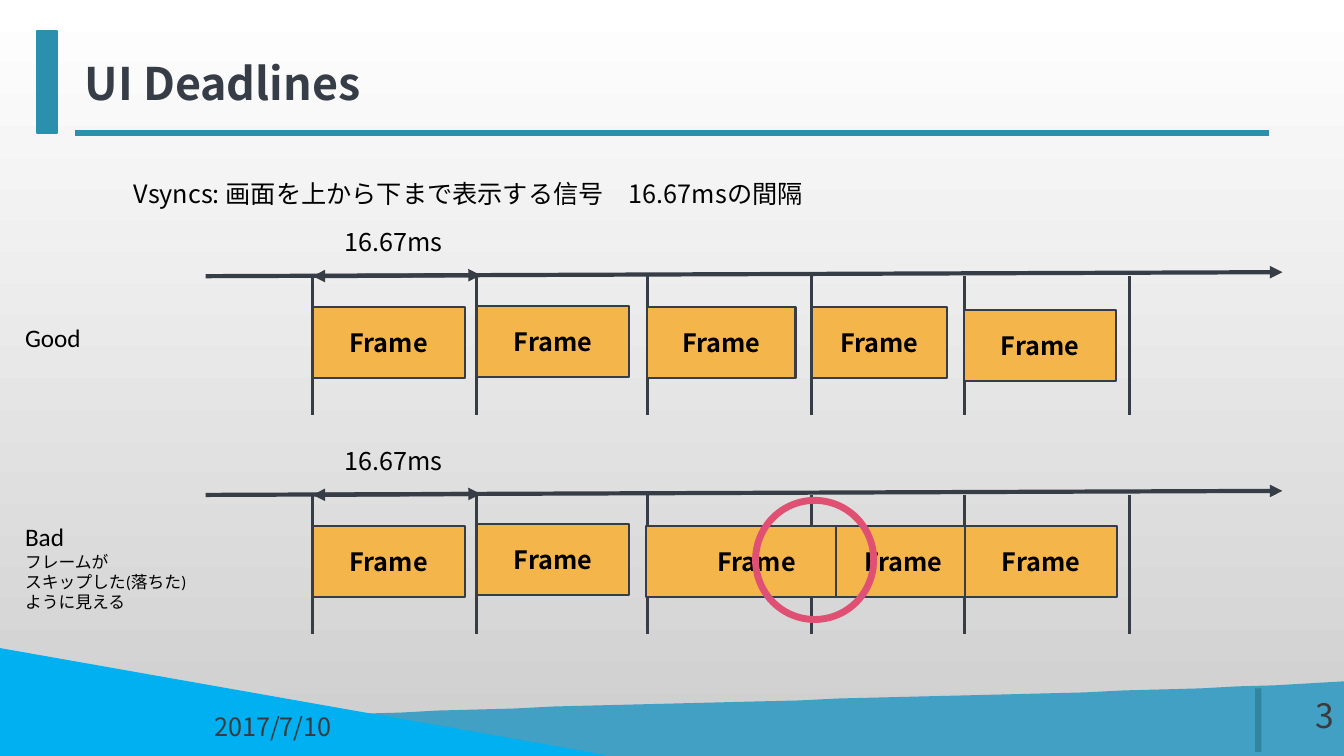
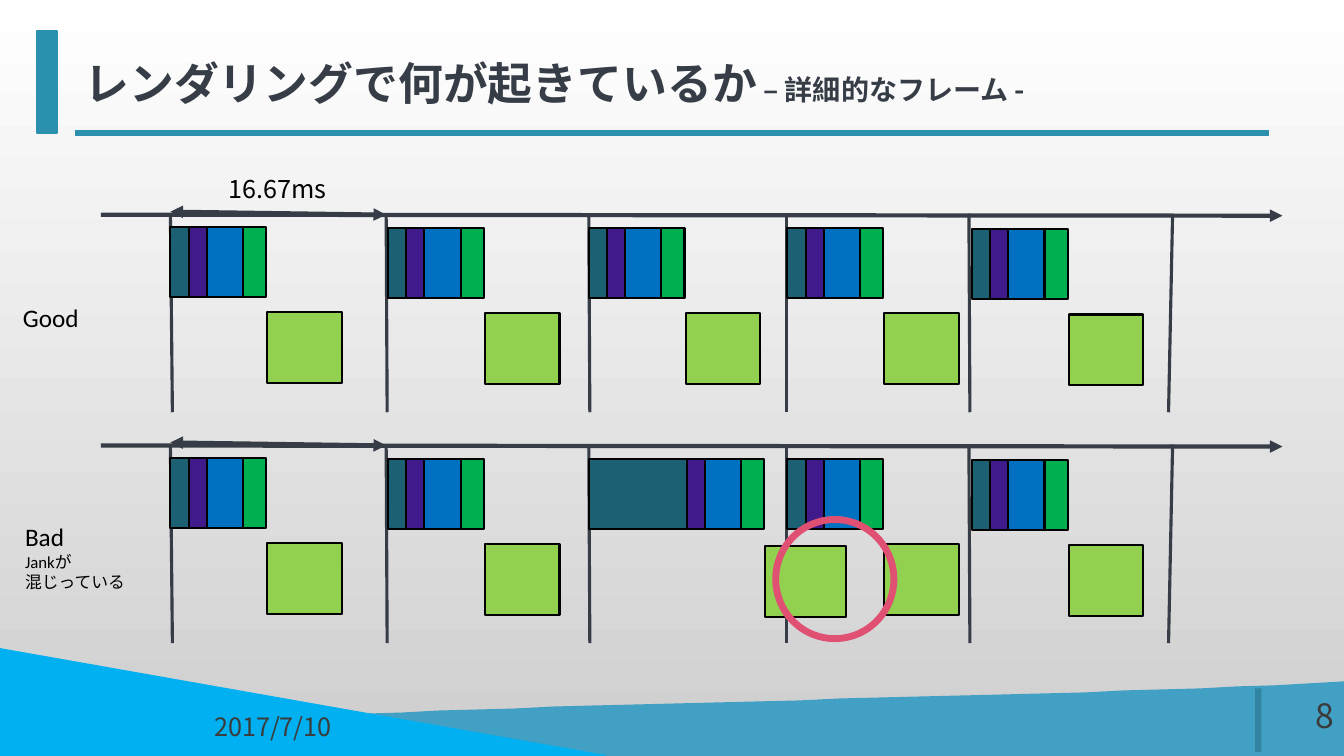
from collections import namedtuple

from lxml.etree import SubElement
from pptx import Presentation
from pptx.dml.color import RGBColor
from pptx.enum.shapes import MSO_CONNECTOR, MSO_SHAPE
from pptx.enum.text import MSO_ANCHOR, PP_ALIGN
from pptx.oxml.ns import qn
from pptx.util import Pt

PX = 9144  # EMU per px, 100 px to the inch
WIDTH, HEIGHT = 1333, 750
FONT, LABEL_FONT = "Noto Sans CJK JP", "Calibri"
COLORS = {
    "top": "FFFFFF", "bottom": "CECECE", "wave": "41A0C3", "wedge": "00B0F0",
    "accent": "2A90AD", "dark": "363D46", "footer": "3B3B3B", "black": "000000",
    "frame": "F4B54B", "alert": "E05073", "teal": "1C6073", "purple": "401A8B",
    "blue": "0070C0", "green": "00B050", "lime": "92D050",
}
INTERVAL = "16.67ms"
# Offset, width and colour of each rendering phase
PHASES = [(0, 19, "teal"), (18, 18, "purple"), (36, 36, "blue"), (72, 23, "green")]
Render = namedtuple("Render", "left drop delay output_drop output_width",
                    defaults=(0, 85, 74))


def rgb(name):
    return RGBColor.from_string(COLORS[name])


class Deck:
    def __init__(self):
        self.presentation = Presentation()
        self.presentation.slide_width = WIDTH * PX
        self.presentation.slide_height = HEIGHT * PX
        self.slide = None

    # Shared slide frame
    def add_slide(self, title_runs, number):
        self.slide = self.presentation.slides.add_slide(
            self.presentation.slide_layouts[6])
        fill = self.slide.background.fill
        fill.gradient()
        fill.gradient_angle = 270
        for stop, position, name in zip(fill.gradient_stops, (0, 1), ("top", "bottom")):
            stop.position = position
            stop.color.rgb = rgb(name)
        self.wave()
        self.box(0, 644, 600, 106, "wedge", "wedge", MSO_SHAPE.RIGHT_TRIANGLE)
        self.line((1248, 746), (1248, 683), 4.5, "teal", opacity=41)
        self.line((74, 132), (1259, 132), 4.5, "accent")
        self.box(37, 31, 20, 101, "accent", "accent")
        self.text(74, 31, 1185, 101, [title_runs], "dark", bold=True, middle=True)
        self.text(164, 701, 175, 40, [[("2017/7/10", 18)]], "footer",
                  align=PP_ALIGN.RIGHT, middle=True)
        self.text(1248, 676, 85, 66, [[(number, 24)]], "footer",
                  align=PP_ALIGN.RIGHT, middle=True)

    def wave(self):
        curve = [(1333, 677), (889, 702), (130, 695), (1, 750)]
        steps = 40
        points = []
        for step in range(steps + 1):
            t = step / steps
            weights = ((1 - t) ** 3, 3 * t * (1 - t) ** 2, 3 * t * t * (1 - t), t ** 3)
            points.append(tuple(
                sum(weight * point[axis] for weight, point in zip(weights, curve))
                for axis in (0, 1)))
        builder = self.slide.shapes.build_freeform(WIDTH, HEIGHT, scale=PX)
        builder.add_line_segments(points, close=True)
        self.paint(builder.convert_to_shape(), "wave", "wave")

    # Elements
    def paint(self, shape, fill, outline):
        shape.shadow.inherit = False
        shape.fill.solid()
        shape.fill.fore_color.rgb = rgb(fill)
        if outline:
            shape.line.color.rgb = rgb(outline)
            shape.line.width = Pt(1.5)
        else:
            shape.line.fill.background()

    def box(self, left, top, width, height, fill, outline, kind=MSO_SHAPE.RECTANGLE):
        shape = self.slide.shapes.add_shape(
            kind, left * PX, top * PX, width * PX, height * PX)
        self.paint(shape, fill, outline)
        return shape

    def line(self, start, end, weight, color="dark", arrows=(), opacity=None):
        connector = self.slide.shapes.add_connector(
            MSO_CONNECTOR.STRAIGHT, *(value * PX for value in (*start, *end)))
        connector.line.color.rgb = rgb(color)
        connector.line.width = Pt(weight)
        properties = connector._element.spPr
        outline = properties.find(qn("a:ln"))
        if opacity:
            SubElement(outline.find(".//" + qn("a:srgbClr")), qn("a:alpha"),
                       val=str(opacity * 1000))
        for arrow in arrows:
            SubElement(outline, qn(f"a:{arrow}"), type="triangle")
        SubElement(properties, qn("a:effectLst"))

    def fill_text(self, frame, paragraphs, color, font, bold, align, middle):
        """Each paragraph is a list of (text, size) runs."""
        frame.word_wrap = True
        frame.vertical_anchor = MSO_ANCHOR.MIDDLE if middle else MSO_ANCHOR.TOP
        for index, runs in enumerate(paragraphs):
            paragraph = frame.add_paragraph() if index else frame.paragraphs[0]
            paragraph.alignment = align
            paragraph.font.size = Pt(runs[0][1])
            paragraph.font.bold = bold
            paragraph.font.color.rgb = rgb(color)
            paragraph.font.name = font
            SubElement(paragraph._p.pPr.find(qn("a:defRPr")), qn("a:ea"), typeface=FONT)
            for text, size in runs:
                run = paragraph.add_run()
                run.text = text
                if size != runs[0][1]:
                    run.font.size = Pt(size)

    def text(self, left, top, width, height, paragraphs, color="black", font=FONT,
             bold=False, align=PP_ALIGN.LEFT, middle=False):
        shape = self.slide.shapes.add_textbox(
            left * PX, top * PX, width * PX, height * PX)
        self.fill_text(shape.text_frame, paragraphs, color, font, bold, align, middle)

    def row_label(self, left, top, width, heading, *details):
        paragraphs = [[(heading, 18)]] + [[(detail, 12)] for detail in details]
        self.text(left, top, width, 40 + 20 * len(details), paragraphs, font=LABEL_FONT)

    def frame_box(self, left, top, width):
        shape = self.box(left, top, width, 70, "frame", "dark")
        self.fill_text(shape.text_frame, [[("Frame", 18)]], "black", FONT, True,
                       PP_ALIGN.CENTER, True)

    def timeline(self, axis, interval, vsyncs, top, bottom):
        self.line(*axis, 3, arrows=["tailEnd"])
        for upper, lower in vsyncs:
            self.line((upper, top), (lower, bottom), 2.25)
        self.line(*interval, 3, arrows=["headEnd", "tailEnd"])

    def render(self, base, item):
        top = base + item.drop
        for offset, width, color in PHASES:
            shift, stretch = (item.delay, 0) if offset else (0, item.delay)
            self.box(item.left + offset + shift, top, width + stretch, 70, color, "black")
        self.box(item.left + 96 + item.delay, top + item.output_drop,
                 item.output_width, 70, "lime", "black")

    def ring(self, left, top):
        shape = self.box(left, top, 124, 125, "alert", None, MSO_SHAPE.DONUT)
        shape.adjustments[0] = 0.055


def deadlines_slide(deck):
    deck.add_slide([("UI Deadlines", 32)], "3")
    deck.text(123, 172, 806, 40,
              [[("Vsyncs: 画面を上から下まで表示する信号　16.67msの間隔", 18)]])
    # Left, drop below the axis and width of each frame
    rows = {
        274: [(310, 31, 151), (473, 30, 151), (642, 31, 147), (805, 31, 134),
              (956, 34, 151)],
        491: [(310, 31, 151), (473, 29, 151), (641, 31, 219), (829, 31, 134),
              (957, 31, 151)],
    }
    vsyncs = [(x, x) for x in (310, 473, 642, 805, 957, 1120)]
    for base, frames in rows.items():
        deck.timeline(((204, base), (1272, base - 4)), ((310, base), (477, base - 1)),
                      vsyncs, base, base + 138)
        for left, drop, width in frames:
            deck.frame_box(left, base + drop, width)
        deck.text(332, base - 54, 129, 40, [[(INTERVAL, 18)]])
    deck.ring(746, 493)
    deck.row_label(15, 315, 100, "Good")
    deck.row_label(15, 512, 230, "Bad", "フレームが", "スキップした(落ちた)", "ように見える")


def rendering_slide(deck):
    deck.add_slide([("レンダリングで何が起きているか", 32), (" ", 18),
                    ("– 詳細的なフレーム -", 20)], "8")
    good = [Render(169, 12), Render(385, 13), Render(584, 13), Render(781, 13),
            Render(964, 14)]
    late = Render(584, 13, delay=79, output_drop=87, output_width=80)
    bad = [*good[:2], late, *good[3:]]
    vsyncs = [(169, 171), (383, 384), (584, 585), (780, 780), (961, 962), (1163, 1159)]
    for base, renders in ((213, good), (442, bad)):
        deck.timeline(((100, base), (1272, base + 1)), ((169, base - 3), (383, base)),
                      vsyncs, base - 1, base + 196)
        for item in renders:
            deck.render(base, item)
    deck.ring(766, 512)
    deck.text(217, 167, 129, 40, [[(INTERVAL, 18)]])
    deck.row_label(13, 295, 100, "Good")
    deck.row_label(15, 512, 133, "Bad", "Jankが", "混じっている")


def main():
    deck = Deck()
    deadlines_slide(deck)
    rendering_slide(deck)
    deck.presentation.save("out.pptx")


if __name__ == "__main__":
    main()
